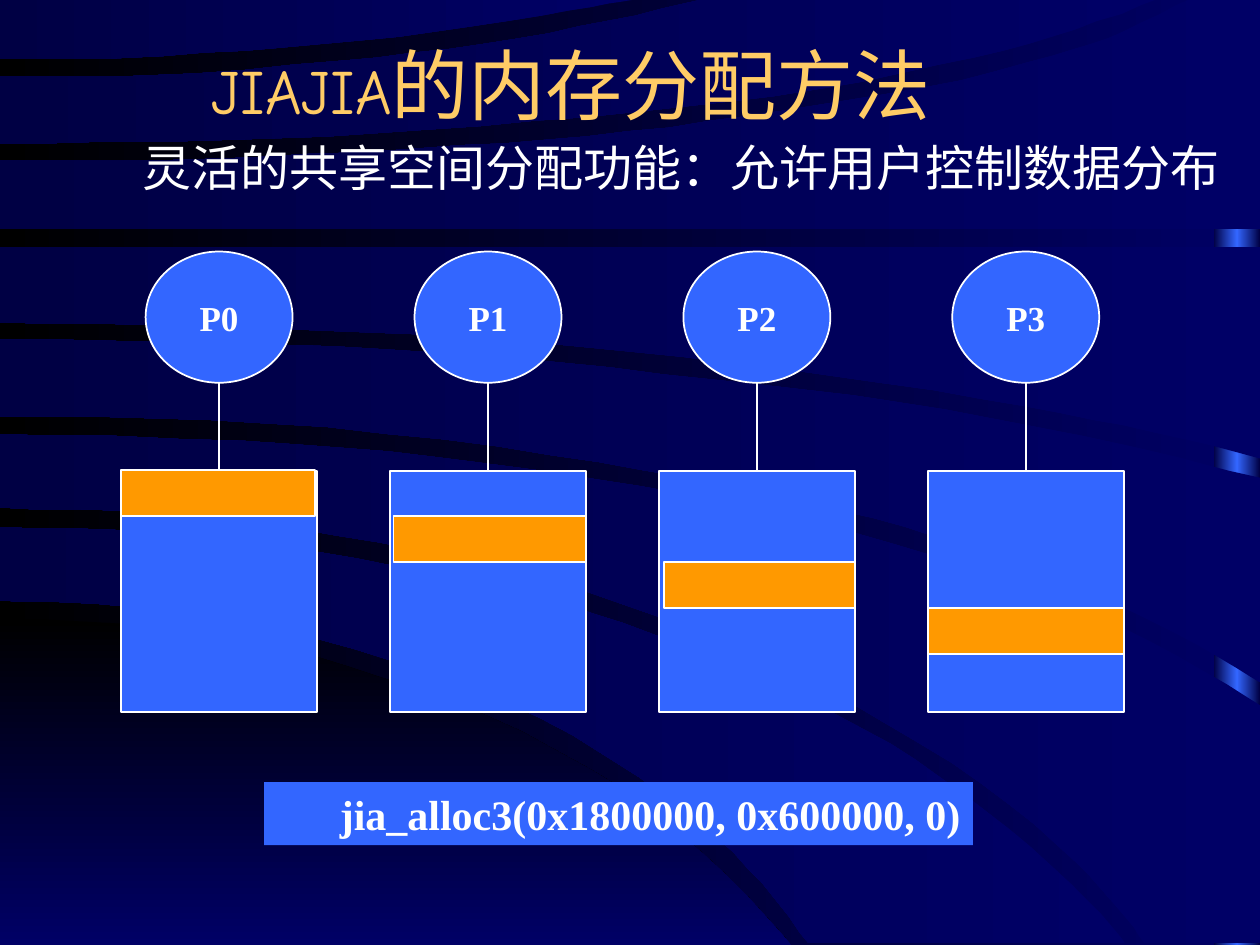
from copy import deepcopy
from dataclasses import dataclass

from lxml.etree import SubElement
from pptx import Presentation
from pptx.dml.color import RGBColor
from pptx.enum.shapes import MSO_CONNECTOR, MSO_SHAPE
from pptx.enum.text import MSO_ANCHOR, MSO_AUTO_SIZE, PP_ALIGN
from pptx.oxml.ns import qn
from pptx.util import Pt


@dataclass(frozen=True)
class Theme:
    navy: str = "000066"
    dark_navy: str = "000044"
    black: str = "000000"
    blue: str = "3366FF"
    orange: str = "FF9900"
    gold: str = "FFCC66"
    white: str = "FFFFFF"
    serif: str = "Times New Roman"
    display: str = "Comic Neue"
    title_size: int = 44
    title_latin_size: int = 36
    body_size: int = 28
    call_size: int = 24
    node_size: int = 20


WIDTH, HEIGHT = 720, 540

# Each band: upper edge, lower edge, and straight corners between them (points).
BANDS = [
    ([(0, 301), (94, 305), (179, 315), (275, 333), (340, 351), (404, 374),
      (464, 401), (523, 434), (577, 474), (621, 514), (643, 539)],
     [(0, 343), (76, 347), (159, 360), (246, 385), (327, 420), (398, 469),
      (435, 504), (462, 539)], []),
    ([(0, 248), (140, 252), (247, 261), (341, 274), (446, 294), (531, 317),
      (608, 344), (673, 375), (720, 403)],
     [(0, 290), (101, 294), (192, 306), (292, 326), (375, 352), (458, 387),
      (544, 436), (603, 482), (637, 517), (654, 539)], [(720, 539)]),
    ([(0, 194), (158, 197), (287, 204), (408, 217), (514, 230), (618, 249),
      (720, 273)],
     [(0, 238), (120, 240), (253, 251), (369, 269), (461, 287), (535, 307),
      (614, 335), (685, 369), (720, 390)], []),
    ([(0, 141), (720, 141)],
     [(0, 184), (134, 187), (239, 191), (361, 201), (477, 215), (585, 232),
      (659, 247), (720, 262)], []),
    ([(0, 92), (113, 91), (237, 85), (335, 78), (430, 66), (528, 50),
      (601, 32), (642, 18), (679, 0)],
     [(0, 131), (720, 131)], [(720, 0)]),
    ([(0, 44), (87, 43), (192, 35), (277, 25), (347, 12), (400, 0)],
     [(0, 82), (127, 80), (245, 74), (363, 64), (467, 51), (556, 33),
      (614, 17), (660, 0)], []),
    ([(0, 0), (361, 0)],
     [(0, 34), (73, 33), (163, 27), (249, 18), (325, 6), (361, 0)], []),
]
WEDGE = ([(0, 354), (62, 356), (139, 364), (199, 381), (278, 409), (356, 451),
          (415, 500), (452, 540)], [(0, 540), (452, 540)], [])


def smooth(points, steps=4):
    """Return a Catmull-Rom curve through the points."""
    padded = [points[0], *points, points[-1]]
    curve = [points[0]]
    for a, b, c, d in zip(padded, padded[1:], padded[2:], padded[3:]):
        for step in range(1, steps + 1):
            t = step / steps
            curve.append(tuple(
                0.5 * (2 * q + (r - p) * t + (2 * p - 5 * q + 4 * r - s) * t ** 2
                       + (3 * q - p - 3 * r + s) * t ** 3)
                for p, q, r, s in zip(a, b, c, d)))
    return curve


def fill_gradient(fill, start, end, angle=180):
    fill.gradient()
    fill.gradient_angle = angle
    for stop, color, position in zip(fill.gradient_stops, (start, end), (0, 1)):
        stop.color.rgb = RGBColor.from_string(color)
        stop.position = position


def add_text(paragraph, text, *, size, color, font=None, bold=False):
    run = paragraph.add_run()
    run.text = text
    run.font.size = Pt(size)
    run.font.bold = bold
    run.font.color.rgb = RGBColor.from_string(color)
    if font:
        run.font.name = font


class SlideBuilder:
    def __init__(self, slide, theme):
        self.slide, self.theme = slide, theme
        self.shapes = slide.shapes

    def background(self):
        fill_gradient(self.slide.background.fill, self.theme.navy, self.theme.black)

    def edge_strip(self, left):
        """Add a strip on the right edge that is brightest in its middle."""
        strip = self.box(left, 0, WIDTH - left, HEIGHT, self.theme.blue, outlined=False)
        fill_gradient(strip.fill, self.theme.dark_navy, self.theme.blue)
        last = strip.element.findall(".//" + qn("a:gs"))[-1]
        outer = deepcopy(last)
        last.addnext(outer)
        last.set("pos", "50000")
        outer[0].set("val", self.theme.dark_navy)

    def band(self, upper, lower, corners, start, end, angle=180):
        outline = smooth(upper) + corners + smooth(lower)[::-1]
        builder = self.shapes.build_freeform(*outline[0], scale=Pt(1))
        builder.add_line_segments(outline[1:], close=True)
        shape = builder.convert_to_shape()
        shape.shadow.inherit = False
        shape.line.fill.background()
        fill_gradient(shape.fill, start, end, angle)

    def placeholder(self, index, left, top, width, height, anchor):
        """Place a template placeholder in front and return its paragraph."""
        shape = self.slide.placeholders[index]
        self.shapes.element.append(shape.element)
        shape.left, shape.top, shape.width, shape.height = map(Pt, (left, top, width, height))
        frame = shape.text_frame
        frame.auto_size = MSO_AUTO_SIZE.NONE
        frame.word_wrap = True
        frame.vertical_anchor = anchor
        paragraph = frame.paragraphs[0]
        paragraph.alignment = PP_ALIGN.LEFT
        paragraph.space_before = Pt(0)
        properties = paragraph._p.get_or_add_pPr()
        properties.set("marL", "0")
        properties.set("indent", "0")
        SubElement(properties, qn("a:buNone"))
        return paragraph

    def box(self, left, top, width, height, color, kind=MSO_SHAPE.RECTANGLE, outlined=True):
        shape = self.shapes.add_shape(kind, Pt(left), Pt(top), Pt(width), Pt(height))
        shape.shadow.inherit = False
        shape.fill.solid()
        shape.fill.fore_color.rgb = RGBColor.from_string(color)
        if outlined:
            shape.line.color.rgb = RGBColor.from_string(self.theme.white)
            shape.line.width = Pt(1)
        else:
            shape.line.fill.background()
        return shape

    def label(self, shape, text, size, indent=0):
        frame = shape.text_frame
        frame.word_wrap = False
        frame.vertical_anchor = MSO_ANCHOR.MIDDLE
        paragraph = frame.paragraphs[0]
        paragraph.alignment = PP_ALIGN.CENTER
        paragraph._p.get_or_add_pPr().set("marL", str(Pt(indent)))
        add_text(paragraph, text, size=size, color=self.theme.white,
                 font=self.theme.serif, bold=True)

    def vertical_line(self, x, top, bottom):
        line = self.shapes.add_connector(
            MSO_CONNECTOR.STRAIGHT, Pt(x), Pt(top), Pt(x), Pt(bottom))
        line.line.color.rgb = RGBColor.from_string(self.theme.white)
        line.line.width = Pt(1)
        SubElement(line.element.spPr, qn("a:effectLst"))


def main():
    theme = Theme()
    presentation = Presentation()
    presentation.slide_width, presentation.slide_height = Pt(WIDTH), Pt(HEIGHT)
    slide = presentation.slides.add_slide(presentation.slide_layouts[1])
    builder = SlideBuilder(slide, theme)

    builder.background()
    builder.edge_strip(693.5)
    builder.band(*WEDGE, theme.black, theme.navy, angle=270)
    for band in BANDS:
        builder.band(*band, theme.navy, theme.dark_navy)

    title = builder.placeholder(0, 113.75, 18, 521, 60, MSO_ANCHOR.BOTTOM)
    add_text(title, "JIAJIA", size=theme.title_latin_size, color=theme.gold, font=theme.display)
    add_text(title, "的内存分配方法", size=theme.title_size, color=theme.gold, font=theme.display)
    body = builder.placeholder(1, 74.5, 79, 645, 36, MSO_ANCHOR.TOP)
    body.line_spacing = 0.9
    add_text(body, "灵活的共享空间分配功能：允许用户控制数据分布",
             size=theme.body_size, color=theme.white, font=theme.serif)

    first_center, pitch = 125.2, 153.65
    memory_top, memory_width = 269.2, 112
    segments = [(0, 111), (2, 110), (3, 109), (0, 112)]  # inset, width
    for number, (inset, segment_width) in enumerate(segments):
        center = first_center + number * pitch
        left = center - memory_width / 2
        node = builder.box(center - 42, 143.75, 84, 75, theme.blue, MSO_SHAPE.OVAL)
        builder.label(node, f"P{number}", theme.node_size)
        builder.box(left, memory_top, memory_width, 137.6, theme.blue)
        builder.vertical_line(center, 218.75, memory_top)
        builder.box(left + inset, 268.5 + number * 26.3, segment_width, 26.3, theme.orange)

    call = builder.box(151, 447, 405, 36, theme.blue, outlined=False)
    builder.label(call, "jia_alloc3(0x1800000, 0x600000, 0)", theme.call_size, indent=36)
    presentation.save("out.pptx")


if __name__ == "__main__":
    main()
